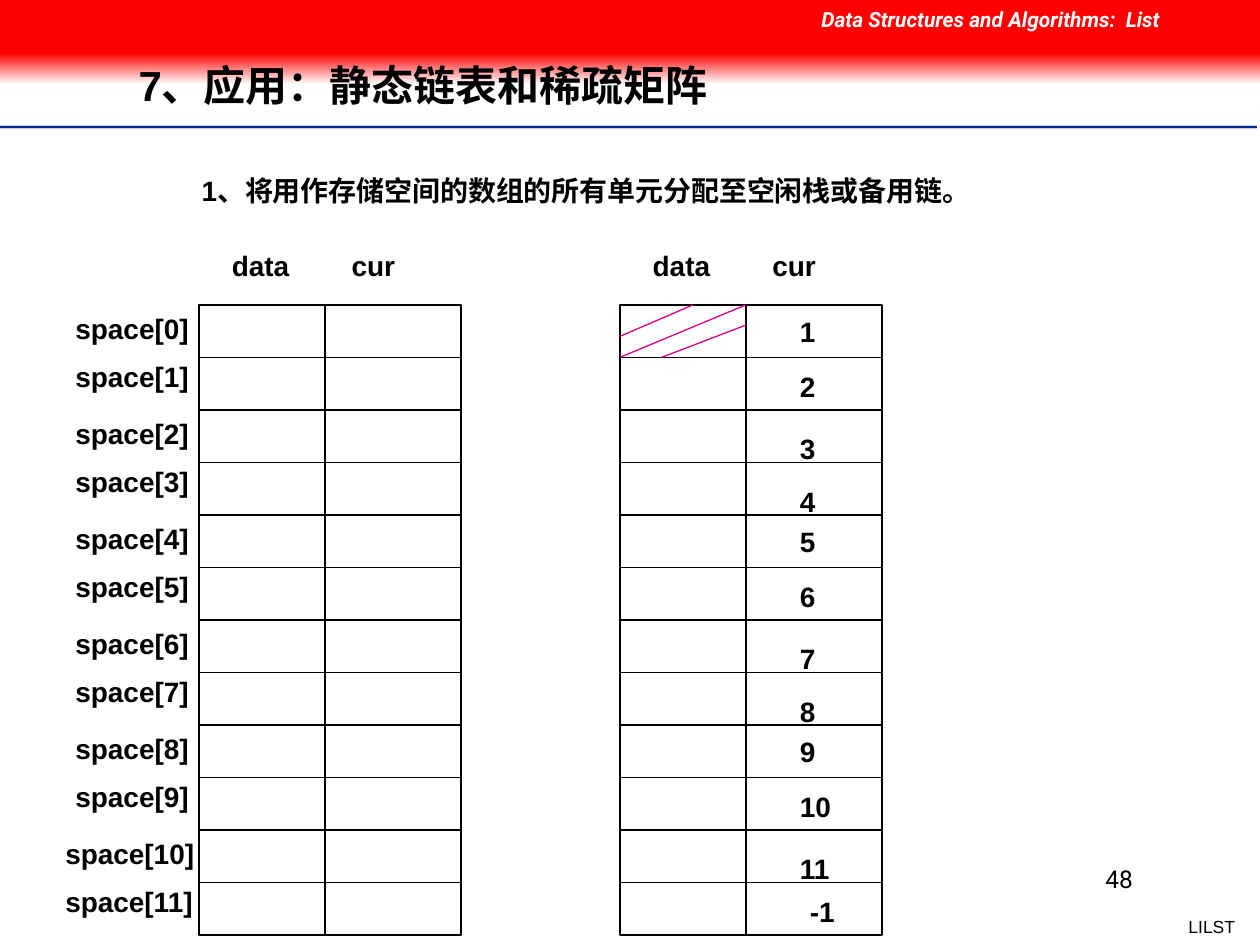
from dataclasses import dataclass
from typing import Optional

from pptx import Presentation
from pptx.dml.color import RGBColor
from pptx.enum.shapes import MSO_CONNECTOR, MSO_SHAPE
from pptx.enum.text import MSO_ANCHOR, MSO_AUTO_SIZE, PP_ALIGN
from pptx.oxml import parse_xml
from pptx.oxml.ns import nsdecls, qn
from pptx.util import Inches, Pt

ROWS = 12
TOP = 2.42
ROW_HEIGHT = 5 / ROWS
TABLE_WIDTH = 2.08
DATA_WIDTH = 1.0
TEXT_HEIGHT = 0.37


@dataclass(frozen=True)
class Font:
    size: float = 16
    name: str = "Arial"
    color: str = "000000"
    bold: bool = True
    italic: bool = False


@dataclass(frozen=True)
class Label:
    text: str
    left: float
    top: float
    width: float
    height: float = TEXT_HEIGHT
    margin_left: float = 0.1
    font: Font = Font()
    align: PP_ALIGN = PP_ALIGN.LEFT
    wrap: bool = True
    tab: Optional[float] = None


@dataclass(frozen=True)
class Line:
    x1: float
    y1: float
    x2: float
    y2: float
    color: str = "000000"
    width: float = 0.75


def rgb(color: str) -> RGBColor:
    return RGBColor.from_string(color)


def format_paragraph(p, font: Font, align: PP_ALIGN) -> None:
    p.alignment = align
    for r in p.runs:
        r.font.size = Pt(font.size)
        r.font.name = font.name
        r.font.bold = font.bold
        r.font.italic = font.italic
        r.font.color.rgb = rgb(font.color)


def add_label(s, label: Label) -> None:
    sp = s.shapes.add_textbox(Inches(label.left), Inches(label.top),
                              Inches(label.width), Inches(label.height))
    tf = sp.text_frame
    tf.word_wrap = label.wrap
    tf.margin_left = Inches(label.margin_left)
    tf.text = label.text
    p = tf.paragraphs[0]
    if label.tab is not None:
        p._p.get_or_add_pPr().append(parse_xml(
            f'<a:tabLst {nsdecls("a")}>'
            f'<a:tab pos="{Inches(label.tab)}" algn="l"/></a:tabLst>'))
    format_paragraph(p, label.font, label.align)


def add_line(s, line: Line):
    cxn = s.shapes.add_connector(MSO_CONNECTOR.STRAIGHT, Inches(line.x1), Inches(line.y1),
                                 Inches(line.x2), Inches(line.y2))
    cxn.line.color.rgb = rgb(line.color)
    cxn.line.width = Pt(line.width)
    cxn._element.spPr.append(cxn._element.makeelement(qn("a:effectLst"), {}))
    return cxn


def add_rect(s, left: float, top: float, width: float, height: float, fill: str):
    sp = s.shapes.add_shape(MSO_SHAPE.RECTANGLE, Inches(left), Inches(top),
                            Inches(width), Inches(height))
    sp.shadow.inherit = False
    sp.fill.solid()
    sp.fill.fore_color.rgb = rgb(fill)
    sp.line.fill.background()
    return sp


def add_array(s, left: float) -> None:
    """Draw an empty two-column array with its column headings."""
    frame = add_rect(s, left, TOP, TABLE_WIDTH, ROWS * ROW_HEIGHT, "FFFFFF")
    frame.line.color.rgb = rgb("000000")
    frame.line.width = Pt(1.5)
    for row in range(1, ROWS):
        y = TOP + row * ROW_HEIGHT
        rule = add_line(s, Line(left, y, left + TABLE_WIDTH, y))
        if row == ROWS // 2:
            rule.begin_connect(frame, 1)
            rule.end_connect(frame, 3)
    x = left + DATA_WIDTH
    add_line(s, Line(x, TOP, x, TOP + ROWS * ROW_HEIGHT))
    add_label(s, Label("data\tcur", left - 0.08, 1.92, 2.25, margin_left=0.34, tab=0.95))


def add_banner(s) -> None:
    for color, y, width in (("CECECE", 1.01, 2), ("00279F", 1.01, 1), ("FFFFFF", 1.03, 1)):
        add_line(s, Line(0, y, 9.98, y, color, width))
    fade = add_rect(s, 0, 0.42, 10, 0.25, "FF0000")
    fade.fill.gradient()
    fade.fill.gradient_angle = 270
    for stop, color in zip(fade.fill.gradient_stops, ("FF0000", "FFFFFF")):
        stop.color.rgb = rgb(color)
    add_rect(s, 0, 0, 10, 0.42, "FF0000")
    add_label(s, Label("Data Structures and Algorithms:  List", 6.42, 0, 3.58, 0.3,
                       font=Font(12, "Roboto", "FFFFFF", italic=True)))


def add_footer(s) -> None:
    add_label(s, Label("LILST", 9.33, 7.22, 0.57, 0.27, font=Font(10, bold=False),
                       align=PP_ALIGN.RIGHT, wrap=False))
    add_label(s, Label("48", 7.17, 6.81, 1.92, 0.5, font=Font(14, "Roboto", bold=False),
                       align=PP_ALIGN.RIGHT))


def format_title(s, text: str) -> None:
    title = s.shapes.title
    title.left, title.top = Inches(1), Inches(0.33)
    title.width, title.height = Inches(7.55), Inches(0.74)
    tf = title.text_frame
    tf.text = text
    tf.auto_size = MSO_AUTO_SIZE.NONE
    tf.vertical_anchor = MSO_ANCHOR.MIDDLE
    tf.paragraphs[0].line_spacing = 0.9
    format_paragraph(tf.paragraphs[0], Font(24), PP_ALIGN.LEFT)
    # The title lies in front of the banner
    title._element.getparent().append(title._element)


def add_space_labels(s) -> None:
    for row in range(ROWS):
        left = 0.5 if row < 10 else 0.42
        top = TOP + row * ROW_HEIGHT - 0.03 * (row % 2)
        add_label(s, Label(f"space[{row}]", left, top, 1.25))


def add_cursors(s) -> None:
    offsets = (0.03, 0.05, 0.12, 0.13)
    for row in range(ROWS - 1):
        top = TOP + row * ROW_HEIGHT + offsets[row % len(offsets)]
        add_label(s, Label(str(row + 1), 6.25, top, 0.5))
    add_label(s, Label("-1", 6.33, 7.05, 0.5))


def add_hatching(s, left: float) -> None:
    right, bottom = left + DATA_WIDTH, TOP + ROW_HEIGHT
    for x1, y1, x2, y2 in ((right, TOP, left, bottom),
                           (right, TOP + 0.16, left + 0.33, bottom),
                           (left + 0.58, TOP, left, TOP + 0.25)):
        add_line(s, Line(x1, y1, x2, y2, "DC0081"))


def main() -> None:
    prs = Presentation()
    prs.slide_width, prs.slide_height = Inches(10), Inches(7.5)
    s = prs.slides.add_slide(prs.slide_layouts[5])
    add_banner(s)
    add_footer(s)
    format_title(s, "7、应用：静态链表和稀疏矩阵")
    add_label(s, Label("1、将用作存储空间的数组的所有单元分配至空闲栈或备用链。",
                       0, 1.33, 9.58, margin_left=1.6))
    add_array(s, 1.58)
    add_space_labels(s)
    add_array(s, 4.92)
    add_hatching(s, 4.92)
    add_cursors(s)
    prs.save("out.pptx")


if __name__ == "__main__":
    main()
